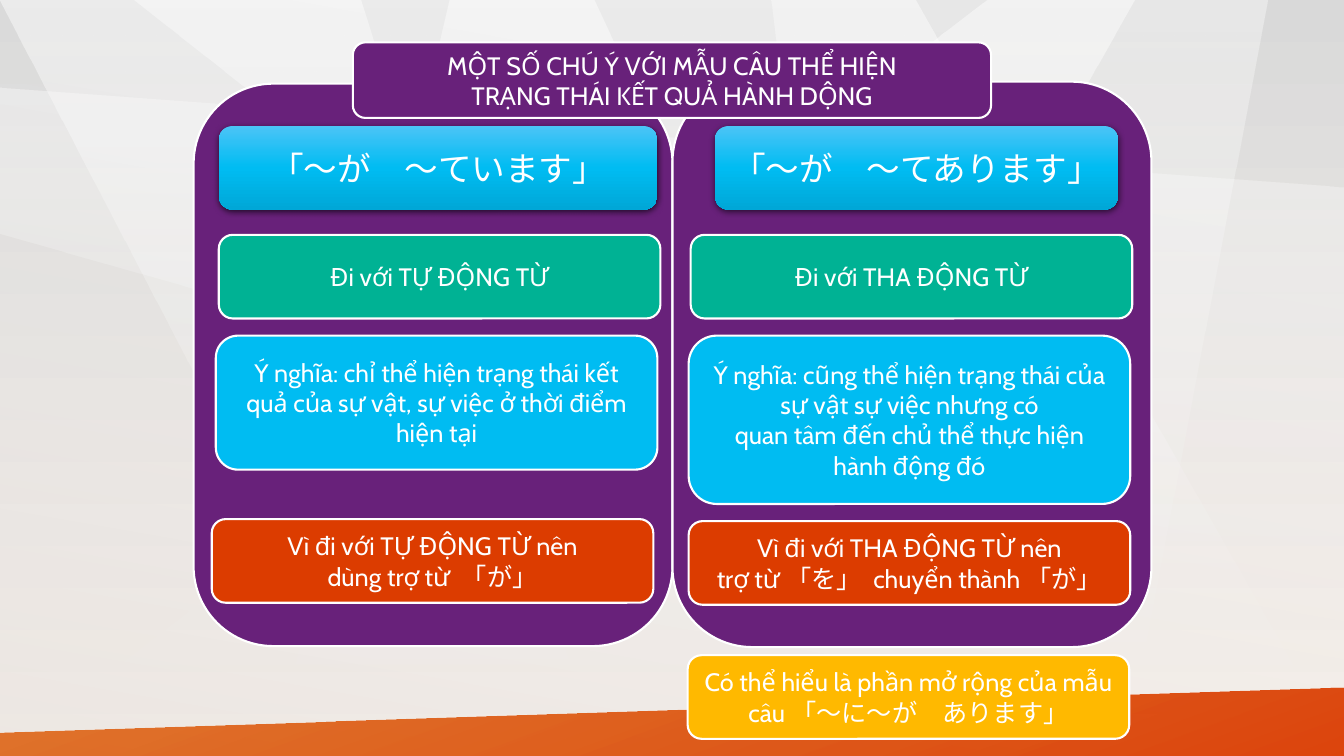
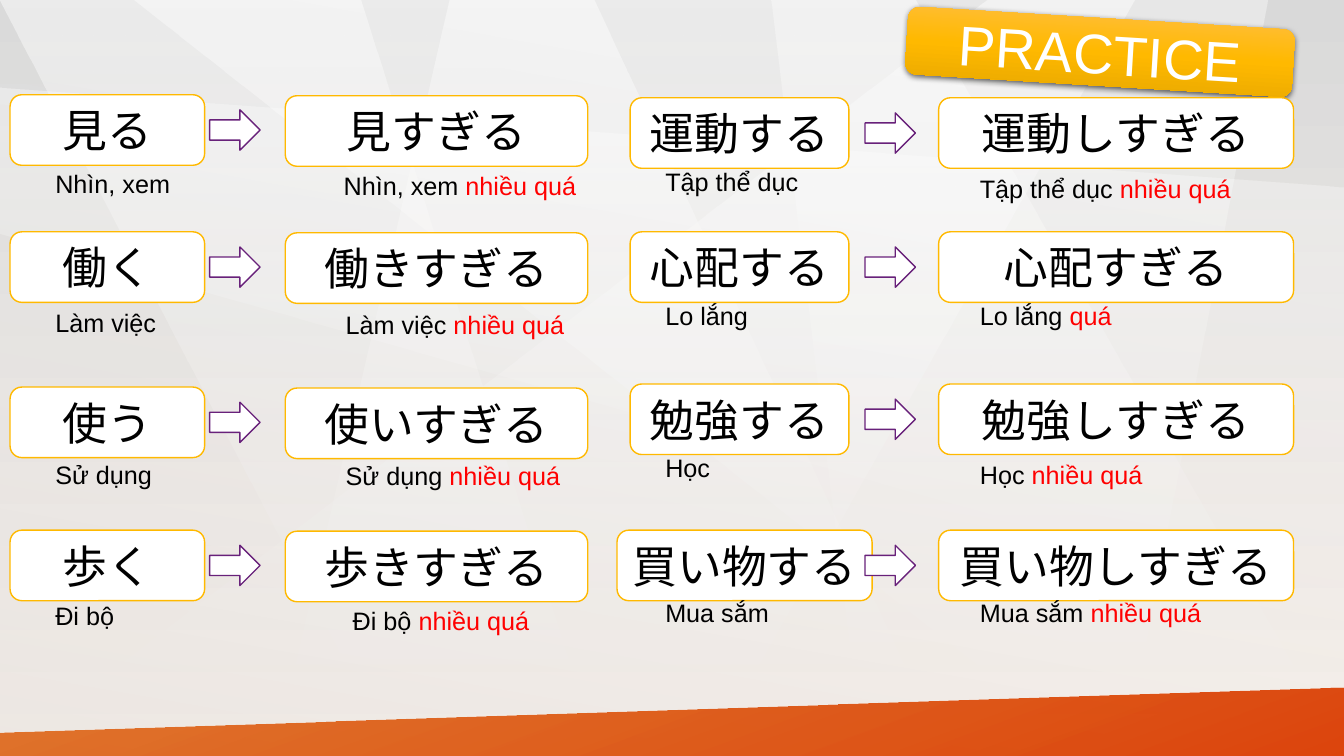
from dataclasses import dataclass

from pptx import Presentation
from pptx.dml.color import RGBColor
from pptx.enum.shapes import MSO_SHAPE
from pptx.enum.text import MSO_ANCHOR, PP_ALIGN
from pptx.oxml import parse_xml
from pptx.oxml.ns import nsdecls
from pptx.util import Inches, Pt

# Shared look
RECT = MSO_SHAPE.RECTANGLE
ROUND = MSO_SHAPE.ROUNDED_RECTANGLE
ARROW = MSO_SHAPE.RIGHT_ARROW
MIDDLE = MSO_ANCHOR.MIDDLE
CENTER = PP_ALIGN.CENTER

WHITE = RGBColor(0xFF, 0xFF, 0xFF)
BLACK = RGBColor(0x00, 0x00, 0x00)
RED = RGBColor(0xFF, 0x00, 0x00)
PURPLE = RGBColor(0x68, 0x21, 0x7A)
GREEN = RGBColor(0x00, 0xB2, 0x94)
BLUE = RGBColor(0x00, 0xBC, 0xF2)
ORANGE = RGBColor(0xDC, 0x3C, 0x00)
YELLOW = RGBColor(0xFF, 0xB9, 0x00)
AMBER = RGBColor(0xDD, 0x59, 0x00)
GREY = RGBColor(0xD9, 0xD9, 0xD9)
SHADE = RGBColor(0xBF, 0xBF, 0xBF)
CREAM = RGBColor(0xFC, 0xF5, 0xEF)
SKY = RGBColor(0x4B, 0xC4, 0xF7)
DEEP = RGBColor(0x00, 0xA7, 0xD7)
GOLD = RGBColor(0xFF, 0xBF, 0x4B)
OCHRE = RGBColor(0xE3, 0xA4, 0x00)

CABIN, ARIAL = "Cabin", "Arial"
WIDE, HIGH = 13.33, 7.5


@dataclass(frozen=True)
class Stop:
    at: int
    color: RGBColor
    alpha: int = 100


@dataclass(frozen=True)
class Facet:
    points: list[tuple[float, float]]
    alpha: int


@dataclass(frozen=True)
class Box:
    left: float
    top: float
    width: float
    height: float
    fill: RGBColor
    lines: tuple[tuple[str, ...], ...] = ()


@dataclass(frozen=True)
class Side:
    base: float
    base_wide: float
    arrow: float
    past: float
    past_wide: float
    note: float
    past_note: float
    note_wide: float
    drop: float


@dataclass(frozen=True)
class Pair:
    top: float
    base: str
    past: str
    gloss: str
    extra: str
    low: float
    past_low: float
    lead: float = 0
    grow: float = 0
    shift: float = 0


FACETS = [
    Facet([(9.79, 0), (0, HIGH), (7.01, HIGH), (11.25, 0)], 50),
    Facet([(0, 0), (3.58, 0), (5.94, HIGH), (3.91, HIGH)], 50),
    Facet([(1.32, 0), (9.07, 0), (WIDE, HIGH), (10.83, HIGH)], 50),
    Facet([(7.65, 0), (8.56, HIGH), (11.15, HIGH), (12.57, 0)], 40),
    Facet([(5.89, 0), (4.46, 0), (2.72, HIGH), (9.39, HIGH)], 50),
    Facet([(0, 0.87), (WIDE, 1.86), (WIDE, 6.1), (0, 2.32)], 40),
]
BAND = [(0, 7.27), (WIDE, 6.82), (WIDE, HIGH), (0, HIGH)]
BLUES = [Stop(0, SKY), Stop(50, BLUE), Stop(100, DEEP)]
GOLDS = [Stop(0, GOLD), Stop(50, YELLOW), Stop(100, OCHRE)]

# Slide 1 content
BOXES = [
    Box(1.92, 0.83, 4.75, 5.58, PURPLE),
    Box(6.67, 0.81, 4.75, 5.61, PURPLE),
    Box(3.5, 0.42, 6.33, 0.75, PURPLE, (
        ("MỘT SỐ CHÚ Ý VỚI MẪU CÂU THỂ HIỆN",),
        ("TRẠNG THÁI KẾT QUẢ HÀNH DỘNG",))),
    Box(2.17, 2.33, 4.38, 0.83, GREEN, (("Đi với TỰ ĐỘNG TỪ",),)),
    Box(6.85, 2.33, 4.38, 0.83, GREEN, (("Đi với THA ĐỘNG TỪ",),)),
    Box(2.14, 3.33, 4.38, 1.33, BLUE, (
        ("Ý nghĩa: chỉ thể hiện trạng thái kết quả của sự vật, "
         "sự việc ở thời điểm hiện tại",),)),
    Box(6.83, 3.33, 4.38, 1.67, BLUE, (
        ("Ý nghĩa: cũng thể hiện trạng thái của sự vật sự việc nhưng có",),
        ("quan tâm đến chủ thể thực hiện hành động đó",))),
    Box(6.83, 5.17, 4.38, 0.83, ORANGE, (
        ("Vì đi với THA ĐỘNG TỪ nên",),
        ("trợ từ", "「を」", " chuyển thành", "「が」"))),
    Box(2.1, 5.15, 4.38, 0.83, ORANGE, (
        ("Vì đi với TỰ ĐỘNG TỪ nên",),
        ("dùng trợ từ ", "「が」"))),
    Box(6.82, 6.5, 4.38, 0.83, YELLOW, (
        ("Có thể hiểu là phần mở rộng của mẫu câu", "「～に～が　あります」"),)),
]
HEADS = [
    Box(2.17, 1.25, 4.35, 0.83, BLUE, (("「～が　～ています」",),)),
    Box(7.09, 1.25, 4, 0.83, BLUE, (("「～が　～てあります」",),)),
]

# Slide 2 content
MUCH = "nhiều quá"
LEFT = Side(0.1, 1.93, 2.08, 2.83, 3, 0.45, 3.33, 2.6, 0.01)
RIGHT = Side(6.25, 2.17, 8.58, 9.31, 3.52, 6.5, 9.62, 3.56, 0)
DRILLS = {
    LEFT: [
        Pair(0.94, "見る", "見すぎる", "Nhìn, xem", MUCH, 1.62, 1.64, shift=-0.02),
        Pair(2.3, "働く", "働きすぎる", "Làm việc", MUCH, 3, 3.02),
        Pair(3.84, "使う", "使いすぎる", "Sử dụng", MUCH, 4.51, 4.52),
        Pair(5.26, "歩く", "歩きすぎる", "Đi bộ", MUCH, 5.91, 5.96, shift=0.07),
    ],
    RIGHT: [
        Pair(0.97, "運動する", "運動しすぎる", "Tập thể dục", MUCH, 1.6, 1.67),
        Pair(2.3, "心配する", "心配すぎる", "Lo lắng", "quá", 2.93, 2.93),
        Pair(3.81, "勉強する", "勉強しすぎる", "Học", MUCH, 4.44, 4.51),
        Pair(5.26, "買い物する", "買い物しすぎる", "Mua sắm", MUCH, 5.88, 5.88,
             lead=0.13, grow=0.36),
    ],
}


# Drawing helpers
def shade(host, stops: list[Stop], angle: int) -> None:
    """Swap the solid fill of a shape or background for a gradient."""
    marks = "".join(
        f'<a:gs pos="{s.at * 1000}"><a:srgbClr val="{s.color}">'
        f'<a:alpha val="{s.alpha * 1000}"/></a:srgbClr></a:gs>' for s in stops)
    old = host.element.xpath(".//p:bgPr/a:solidFill | .//p:spPr/a:solidFill")[0]
    old.getparent().replace(old, parse_xml(
        f'<a:gradFill {nsdecls("a")} rotWithShape="1"><a:gsLst>{marks}</a:gsLst>'
        f'<a:lin ang="{angle * 60000}" scaled="0"/></a:gradFill>'))


def paint(shape, fill: RGBColor, line: RGBColor | None = None, width: float = 1):
    shape.shadow.inherit = False
    shape.fill.solid()
    shape.fill.fore_color.rgb = fill
    if line is None:
        shape.line.fill.background()
    else:
        shape.line.color.rgb = line
        shape.line.width = Pt(width)
    return shape


def block(slide, kind, left: float, top: float, width: float, height: float):
    return slide.shapes.add_shape(
        kind, Inches(left), Inches(top), Inches(width), Inches(height))


def outline(slide, points: list[tuple[float, float]]):
    spots = [(Inches(x), Inches(y)) for x, y in points]
    pen = slide.shapes.build_freeform(*spots[0])
    pen.add_line_segments(spots[1:], close=True)
    return pen.convert_to_shape()


def glow(shape, stops: list[Stop]) -> None:
    """Give a banner its gradient and soft shadow."""
    shade(shape, stops, 90)
    shape.element.xpath("./p:spPr/a:effectLst")[0].append(parse_xml(
        f'<a:outerShdw {nsdecls("a")} blurRad="57150" dist="19050" dir="5400000" '
        'algn="ctr" rotWithShape="0"><a:srgbClr val="000000">'
        '<a:alpha val="63000"/></a:srgbClr></a:outerShdw>'))


def write(shape, lines: tuple[tuple[str, ...], ...], size: int,
          color: RGBColor, face: str = ARIAL) -> None:
    frame = shape.text_frame
    frame.word_wrap = True
    frame.vertical_anchor = MIDDLE
    for i, texts in enumerate(lines):
        para = frame.paragraphs[0] if i == 0 else frame.add_paragraph()
        para.alignment = CENTER
        para.font.size = Pt(size)
        para.font.color.rgb = color
        para.font.name = face
        for text in texts:
            run = para.add_run()
            run.text = text
            if face != ARIAL and text.startswith("「"):
                run.font.name = ARIAL


def note(slide, left: float, top: float, width: float,
         gloss: str, extra: str = "") -> None:
    frame = slide.shapes.add_textbox(
        Inches(left), Inches(top), Inches(width), Inches(0.4)).text_frame
    frame.word_wrap = True
    para = frame.paragraphs[0]
    para.font.size = Pt(18)
    para.font.name = ARIAL
    para.font.color.rgb = BLACK
    para.add_run().text = f"{gloss} " if extra else gloss
    if extra:
        run = para.add_run()
        run.text = extra
        run.font.color.rgb = RED


def card(slide, left: float, top: float, width: float, text: str) -> None:
    shape = paint(block(slide, ROUND, left, top, width, 0.7), WHITE, YELLOW)
    write(shape, ((text,),), 32, BLACK)


# Master backdrop
def backdrop(master, slide) -> None:
    """Draw the backdrop on a slide, then move it to the master."""
    fill = master.background.fill
    fill.solid()
    fill.fore_color.rgb = CREAM
    shade(master, [Stop(0, GREY, 50), Stop(100, CREAM)], 90)
    parts = []
    for facet in FACETS:
        shape = paint(outline(slide, facet.points), WHITE)
        shade(shape, [Stop(0, WHITE, facet.alpha), Stop(100, WHITE, 0)], 90)
        parts.append(shape)
    veil = paint(block(slide, RECT, 0, 0, WIDE, HIGH), WHITE)
    shade(veil, [Stop(0, SHADE, 25), Stop(100, WHITE, 0)], 280)
    band = paint(outline(slide, BAND), ORANGE)
    shade(band, [Stop(0, AMBER, 80), Stop(100, ORANGE, 95)], 70)
    for i, shape in enumerate([*parts, veil, band], start=100):
        shape.element.nvSpPr.cNvPr.set("id", str(i))
        master.shapes.element.append(shape.element)


# Slides
def grammar(slide) -> None:
    for box in BOXES:
        shape = block(slide, ROUND, box.left, box.top, box.width, box.height)
        paint(shape, box.fill, WHITE, 1.5)
        write(shape, box.lines, 18, WHITE, CABIN)
    for box in HEADS:
        shape = block(slide, ROUND, box.left, box.top, box.width, box.height)
        glow(paint(shape, box.fill), BLUES)
        write(shape, box.lines, 24, WHITE)


def practice(slide) -> None:
    title = paint(block(slide, ROUND, 8.99, 0.18, 3.84, 0.67), YELLOW)
    glow(title, GOLDS)
    title.rotation = 3.5
    write(title, (("PRACTICE",),), 40, WHITE)
    for side, pairs in DRILLS.items():
        for pair in pairs:
            card(slide, side.base - pair.lead, pair.top,
                 side.base_wide + pair.grow, pair.base)
            paint(block(slide, ARROW, side.arrow, pair.top + 0.15, 0.5, 0.4),
                  WHITE, PURPLE)
            card(slide, side.past, pair.top + side.drop, side.past_wide, pair.past)
            note(slide, side.note, pair.low, 2, pair.gloss)
            note(slide, side.past_note + pair.shift, pair.past_low,
                 side.note_wide, pair.gloss, pair.extra)


def main() -> None:
    deck = Presentation()
    deck.slide_width, deck.slide_height = Inches(WIDE), Inches(HIGH)
    blank = deck.slide_layouts[6]
    first, second = (deck.slides.add_slide(blank) for _ in range(2))
    backdrop(deck.slide_master, first)
    grammar(first)
    practice(second)
    deck.save("out.pptx")


if __name__ == "__main__":
    main()
